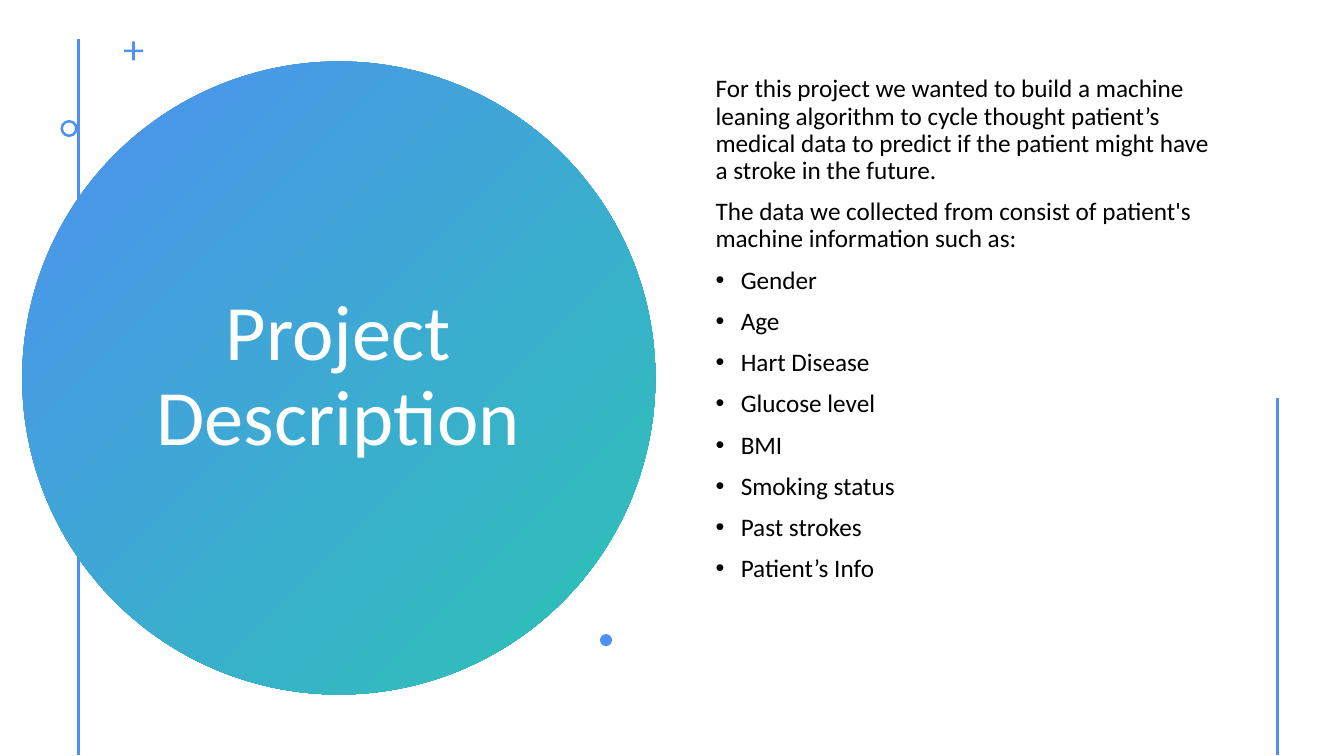
from lxml import etree
from pptx import Presentation
from pptx import util as u
from pptx.dml.color import RGBColor
from pptx.enum import shapes, text
from pptx.oxml import ns

COLORS = {"blue": "4E91F0", "teal": "2CC3B4", "white": "FFFFFF", "black": "000000"}
INTRO = [
    "For this project we wanted to build a machine leaning algorithm to cycle thought "
    "patient’s medical data to predict if the patient might have a stroke in the future.",
    "The data we collected from consist of patient's machine information such as:",
]
FACTORS = ["Gender", "Age", "Hart Disease", "Glucose level", "BMI",
           "Smoking status", "Past strokes", "Patient’s Info"]


class SlideBuilder:
    font = "Calibri"

    def __init__(self, deck):
        self.deck = deck
        self.page = deck.slides.add_slide(deck.slide_layouts[6])

    def color(self, name):
        return RGBColor.from_string(COLORS[name])

    def place(self, *percents):
        sides = (self.deck.slide_width, self.deck.slide_height) * 2
        return [round(side * percent / 100) for side, percent in zip(sides, percents)]

    def apply(self, target, values):
        for name, value in values.items():
            setattr(target, name, value)

    def line(self, x, top, bottom):
        line = self.page.shapes.add_connector(
            shapes.MSO_CONNECTOR.STRAIGHT, *self.place(x, top, x, bottom))
        line.line.color.rgb = self.color("blue")
        line.line.width = u.Pt(2)
        etree.SubElement(line._element.spPr, ns.qn("a:effectLst"))

    def shape(self, kind, area, thickness=None, gradient=None):
        shape = self.page.shapes.add_shape(kind, *self.place(*area))
        shape.shadow.inherit = False
        shape.line.fill.background()
        if thickness is not None:
            shape.adjustments[0] = thickness
        if gradient:
            shape.fill.gradient()
            shape.fill.gradient_angle = 315
            for stop, name in zip(shape.fill.gradient_stops, gradient):
                stop.color.rgb = self.color(name)
        else:
            shape.fill.solid()
            shape.fill.fore_color.rgb = self.color("blue")

    def text_box(self, area, **frame_format):
        box = self.page.shapes.add_textbox(*self.place(*area))
        frame = box.text_frame
        self.apply(frame, {"word_wrap": True,
                           "vertical_anchor": text.MSO_ANCHOR.MIDDLE, **frame_format})
        return frame

    def paragraph(self, frame, words, size, color, bullet=False, **para_format):
        para = frame.paragraphs[0] if not frame.text else frame.add_paragraph()
        self.apply(para, {"line_spacing": 0.9, **para_format})
        if bullet:
            settings = para._p.get_or_add_pPr()
            settings.set("marL", str(u.Inches(0.25)))
            settings.set("indent", str(u.Inches(-0.25)))
            etree.SubElement(settings, ns.qn("a:buFont"), typeface="Arial")
            etree.SubElement(settings, ns.qn("a:buChar"), char="•")
        span = para.add_run()
        self.apply(span, {"text": words})
        self.apply(span.font, {"name": self.font, "size": u.Pt(size)})
        span.font.color.rgb = self.color(color)


def main():
    deck = Presentation()
    deck.slide_width, deck.slide_height = u.Inches(13.33), u.Inches(7.5)
    slide = SlideBuilder(deck)
    kinds = shapes.MSO_SHAPE

    slide.line(5.85, 5.2, 99.87)
    slide.shape(kinds.OVAL, (1.65, 8.13, 47.11, 83.73), gradient=("blue", "teal"))
    title = slide.text_box((10.2, 18.8, 29.93, 62.27))
    slide.paragraph(title, "Project Description", 56, "white",
                    alignment=text.PP_ALIGN.CENTER)
    slide.shape(kinds.CROSS, (9.23, 5.47, 1.43, 2.53), thickness=0.43)
    slide.shape(kinds.DONUT, (4.5, 15.87, 1.28, 2.27), thickness=0.15)

    body = slide.text_box((52.5, 5.6, 38.41, 87.07), margin_bottom=u.Inches(0.88))
    for words in INTRO + FACTORS:
        slide.paragraph(body, words, 18, "black", bullet=words in FACTORS,
                        space_before=u.Pt(10))

    slide.shape(kinds.OVAL, (44.64, 83.87, 0.9, 1.6))
    slide.line(95.05, 52.67, 99.87)
    deck.save("out.pptx")


if __name__ == "__main__":
    main()
